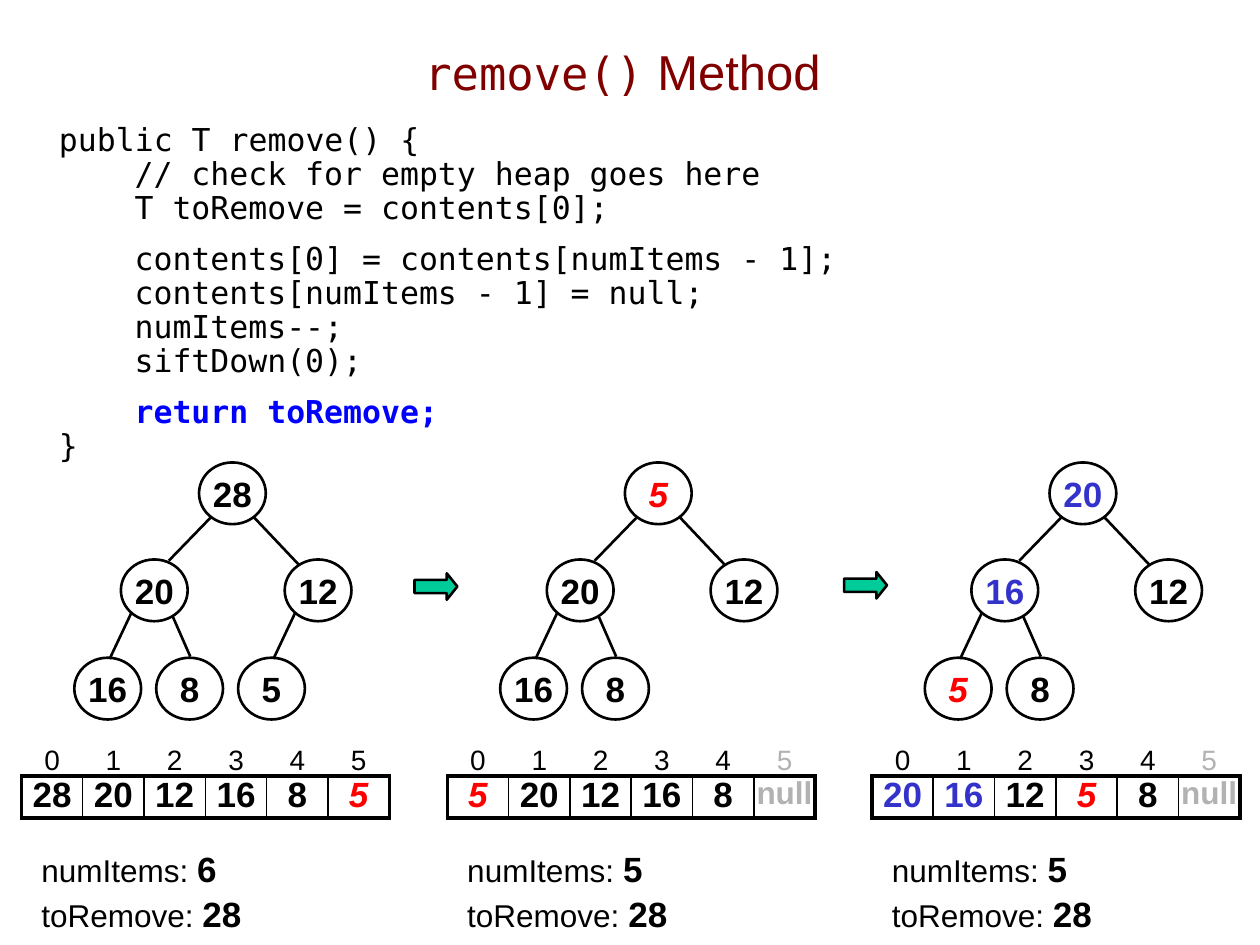
from dataclasses import dataclass

from lxml.etree import SubElement
from pptx import Presentation
from pptx.dml.color import RGBColor
from pptx.enum.shapes import MSO_CONNECTOR, MSO_SHAPE
from pptx.enum.text import MSO_ANCHOR, PP_ALIGN
from pptx.oxml.ns import qn
from pptx.util import Inches, Pt


@dataclass(frozen=True)
class Theme:
    sans: str = "Arial"
    mono: str = "DejaVu Sans Mono"
    black: str = "000000"
    title: str = "800000"
    keyword: str = "0000FF"
    sifted: str = "3333CC"
    moved: str = "FF0000"
    faded: str = "B2B2B2"
    arrow: str = "00CC99"
    title_size: int = 28
    title_code_size: int = 26
    body_size: int = 18
    value_size: int = 20
    index_size: int = 16
    line: float = 1.5
    frame: float = 2.25
    grid: float = 1

    def mark_color(self, mark):
        return {"p": self.black, "s": self.sifted,
                "m": self.moved, "f": self.faded}[mark]


class HeapSlide:
    def __init__(self, slide, theme):
        self.s = slide
        self.t = theme

    def format_run(self, r, size, color=None, font=None, bold=False, italic=False):
        r.font.name = font or self.t.sans
        r.font.size = Pt(size)
        r.font.bold = bold
        r.font.italic = italic
        r.font.color.rgb = RGBColor.from_string(color or self.t.black)

    def add_run(self, p, text, size, **style):
        r = p.add_run()
        r.text = text
        self.format_run(r, size, **style)

    def set_value(self, tf, text, mark, size):
        tf.text = text
        p = tf.paragraphs[0]
        p.alignment = PP_ALIGN.CENTER
        self.format_run(p.runs[0], size, self.t.mark_color(mark),
                        bold=True, italic=mark == "m")

    def textbox(self, x, y, w, h):
        tf = self.s.shapes.add_textbox(Inches(x), Inches(y), Inches(w), Inches(h)).text_frame
        tf.word_wrap = True
        return tf

    def title(self, code, words):
        tf = self.textbox(0.64, 0.1, 8.6, 0.93)
        tf.vertical_anchor = MSO_ANCHOR.MIDDLE
        p = tf.paragraphs[0]
        p.alignment = PP_ALIGN.CENTER
        self.add_run(p, code, self.t.title_code_size, color=self.t.title, font=self.t.mono)
        self.add_run(p, words, self.t.title_size, color=self.t.title)

    def code(self, blocks):
        tf = self.textbox(0.37, 0.94, 9.63, 2.8)
        lines = [(line, b > 0 and i == 0)
                 for b, block in enumerate(blocks) for i, line in enumerate(block)]
        for n, (line, gap) in enumerate(lines):
            p = tf.paragraphs[0] if n == 0 else tf.add_paragraph()
            p.text = line.lstrip()
            p.line_spacing = 0.9
            p.space_before = Pt(9.5 if gap else 0)
            if line.startswith(" "):
                p._p.get_or_add_pPr().set("marL", str(Inches(0.6)))
            is_return = p.text.startswith("return")
            self.format_run(p.runs[0], self.t.body_size,
                            self.t.keyword if is_return else self.t.black,
                            self.t.mono, bold=is_return)

    def shape(self, kind, x, y, w, h, fill=None):
        sp = self.s.shapes.add_shape(kind, Inches(x), Inches(y), Inches(w), Inches(h))
        sp.shadow.inherit = False
        if fill:
            sp.fill.solid()
            sp.fill.fore_color.rgb = RGBColor.from_string(fill)
        else:
            sp.fill.background()
        sp.line.color.rgb = RGBColor.from_string(self.t.black)
        sp.line.width = Pt(self.t.line)
        return sp

    def node(self, x, y, text, mark):
        tf = self.shape(MSO_SHAPE.OVAL, x, y, 0.53, 0.49).text_frame
        tf.margin_left = tf.margin_right = tf.margin_top = tf.margin_bottom = 0
        tf.vertical_anchor = MSO_ANCHOR.MIDDLE
        tf.word_wrap = False
        self.set_value(tf, text, mark, self.t.value_size)

    def edge(self, x1, y1, x2, y2):
        c = self.s.shapes.add_connector(MSO_CONNECTOR.STRAIGHT, Inches(x1), Inches(y1),
                                        Inches(x2), Inches(y2))
        c.line.color.rgb = RGBColor.from_string(self.t.black)
        c.line.width = Pt(self.t.line)
        SubElement(c._element.spPr, qn("a:effectLst"))

    def arrow(self, x, y):
        sp = self.shape(MSO_SHAPE.RIGHT_ARROW, x, y, 0.34, 0.21, self.t.arrow)
        sp.adjustments[0] = 0.5
        sp.adjustments[1] = 0.4

    def tree(self, x, values, marks):
        for (dx, y), text, mark in zip(NODES, values, marks):
            self.node(x + dx, y, text, mark)
        for x1, y1, x2, y2 in EDGES[:len(values) - 1]:
            self.edge(x + x1, y1, x + x2, y2)

    def border(self, cell, **widths):
        tcPr = cell._tc.get_or_add_tcPr()
        for side, width in widths.items():
            ln = SubElement(tcPr, qn("a:ln" + side), w=str(Pt(width)))
            fill = SubElement(ln, qn("a:solidFill"))
            SubElement(fill, qn("a:srgbClr"), val=self.t.black)

    def array(self, x, values, marks):
        n = len(values)
        table = self.s.shapes.add_table(2, n, Inches(x), Inches(5.84),
                                        Inches(2.92), Inches(0.65)).table
        table.first_row = table.horz_banding = False
        table.rows[0].height, table.rows[1].height = Inches(0.32), Inches(0.33)
        frame, grid = self.t.frame, self.t.grid
        for i, (text, mark) in enumerate(zip(values, marks)):
            index, value = table.cell(0, i), table.cell(1, i)
            index.margin_bottom = 0
            index.vertical_anchor = MSO_ANCHOR.BOTTOM
            index.text_frame.text = str(i)
            p = index.text_frame.paragraphs[0]
            p.alignment = PP_ALIGN.CENTER
            self.format_run(p.runs[0], self.t.index_size,
                            self.t.faded if mark == "f" else self.t.black)
            self.border(index, B=frame)
            value.margin_left = value.margin_right = 0
            value.margin_top = value.margin_bottom = 0
            self.set_value(value.text_frame, text, mark,
                           self.t.body_size if mark == "f" else self.t.value_size)
            self.border(value, L=grid if i else frame,
                        R=grid if i < n - 1 else frame, T=frame, B=frame)
            index.fill.background()
            value.fill.background()

    def variables(self, x, **pairs):
        tf = self.textbox(x, 6.68, 1.78, 0.77)
        tf.margin_right = 0
        for n, (name, value) in enumerate(pairs.items()):
            p = tf.paragraphs[0] if n == 0 else tf.add_paragraph()
            p.space_before = Pt(1.5)
            self.add_run(p, f"{name}: ", self.t.body_size)
            self.add_run(p, str(value), self.t.value_size, bold=True)


CODE = [
    ["public T remove() {",
     "    // check for empty heap goes here",
     "    T toRemove = contents[0];"],
    ["    contents[0] = contents[numItems - 1];",
     "    contents[numItems - 1] = null;",
     "    numItems--;",
     "    siftDown(0);"],
    ["    return toRemove;", "}"],
]
NODES = [(1.41, 3.67), (0.79, 4.44), (2.09, 4.44),
         (0.42, 5.22), (1.07, 5.22), (1.72, 5.22)]
EDGES = [(1.5, 4.11, 1.17, 4.45), (1.84, 4.1, 2.2, 4.48), (0.87, 4.87, 0.7, 5.23),
         (1.2, 4.89, 1.34, 5.21), (2.17, 4.87, 2.0, 5.23)]
STAGES = [
    (0.17, 6, "28 20 12 16 8 5", "pppppp", "pppppm"),
    (3.55, 5, "5 20 12 16 8 null", "mpppp", "mppppf"),
    (6.92, 5, "20 16 12 5 8 null", "sspmp", "sspmpf"),
]


def main():
    prs = Presentation()
    prs.slide_width, prs.slide_height = Inches(10), Inches(7.5)
    s = HeapSlide(prs.slides.add_slide(prs.slide_layouts[6]), Theme())
    s.title("remove()", " Method")
    s.code(CODE)
    for x, count, contents, tree_marks, array_marks in STAGES:
        values = contents.split()
        s.tree(x, values[:count], tree_marks)
        s.array(x, values, array_marks)
        s.variables(x + 0.06, numItems=count, toRemove=28)
    s.arrow(3.29, 4.55)
    s.arrow(6.7, 4.54)
    prs.save("out.pptx")


if __name__ == "__main__":
    main()
